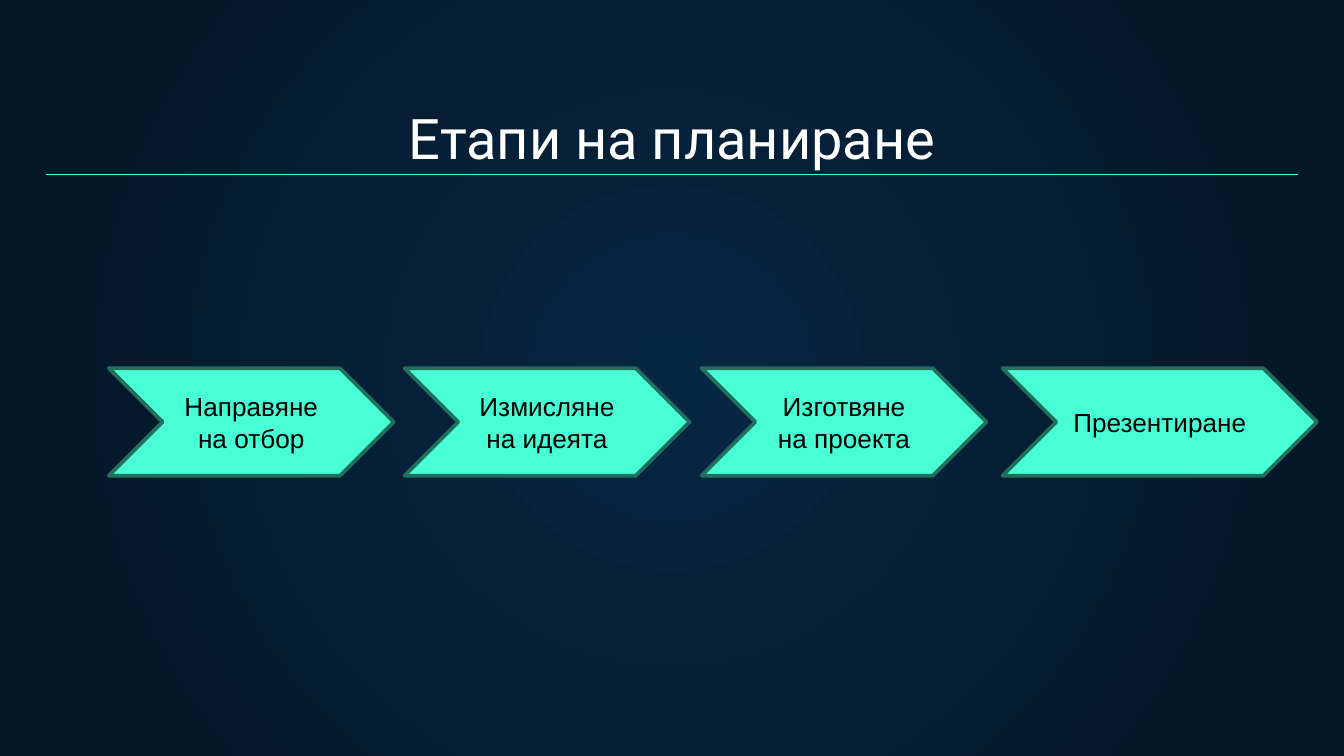
from lxml import etree
from pptx import Presentation
from pptx.dml.color import RGBColor
from pptx.enum.shapes import MSO_CONNECTOR, MSO_SHAPE
from pptx.enum.text import MSO_ANCHOR, PP_ALIGN
from pptx.oxml.ns import qn
from pptx.util import Inches, Pt

CENTER = PP_ALIGN.CENTER
MIDDLE, BOTTOM = MSO_ANCHOR.MIDDLE, MSO_ANCHOR.BOTTOM
CHEVRON, STRAIGHT = MSO_SHAPE.CHEVRON, MSO_CONNECTOR.STRAIGHT

COLORS = {
    "glow": "052643",
    "edge": "041523",
    "mint": "48FFD5",
    "outline": "20705D",
    "title": "FFFFFF",
    "label": "000000",
}

# Step label, left offset within the row, width
STEPS = [
    ("Направяне на отбор", 0, 2.12),
    ("Измисляне на идеята", 2.2, 2.12),
    ("Изготвяне на проекта", 4.41, 2.12),
    ("Презентиране", 6.65, 2.34),
]


def color(name):
    return RGBColor.from_string(COLORS[name])


def write(tf, text, size, font, color_name, anchor):
    tf.word_wrap = True
    tf.vertical_anchor = anchor
    tf.text = text
    p = tf.paragraphs[0]
    p.alignment = CENTER
    f = p.runs[0].font
    f.size, f.name = Pt(size), font
    f.color.rgb = color(color_name)


def add_background(s):
    fill = s.background.fill
    fill.gradient()
    for stop, name in zip(fill.gradient_stops, ("glow", "edge")):
        stop.color.rgb = color(name)
    # Radial gradient from the slide centre
    grad = s.element.find(".//" + qn("a:gradFill"))
    grad.remove(grad.find(qn("a:lin")))
    path = etree.SubElement(grad, qn("a:path"), path="circle")
    etree.SubElement(path, qn("a:fillToRect"),
                     {side: "50000" for side in "ltrb"})


def add_title(s, left, top, width, height):
    sp = s.shapes.add_textbox(Inches(left), Inches(top),
                              Inches(width), Inches(height))
    tf = sp.text_frame
    tf.margin_left = tf.margin_right = Inches(0.1)
    tf.margin_top = tf.margin_bottom = Inches(0.1)
    write(tf, "Етапи на планиране", 30, "Roboto", "title", BOTTOM)

    # Rule under the title
    y = Inches(top + 0.59)
    rule = s.shapes.add_connector(STRAIGHT, Inches(left), y,
                                  Inches(left + width), y)
    rule.line.color.rgb = color("mint")
    rule.line.width = Pt(0.75)
    etree.SubElement(rule._element.spPr, qn("a:effectLst"))


def add_steps(s, left, top, height):
    for text, offset, width in STEPS:
        sp = s.shapes.add_shape(CHEVRON, Inches(left + offset), Inches(top),
                                Inches(width), Inches(height))
        sp.shadow.inherit = False
        sp.fill.solid()
        sp.fill.fore_color.rgb = color("mint")
        sp.line.color.rgb = color("outline")
        sp.line.width = Pt(2)
        write(sp.text_frame, text, 14, "Arial", "label", MIDDLE)


def main():
    prs = Presentation()
    prs.slide_width = Inches(10)
    prs.slide_height = prs.slide_width * 9 // 16
    s = prs.slides.add_slide(prs.slide_layouts[6])
    add_background(s)
    add_title(s, 0.34, 0.71, 9.32, 0.66)
    add_steps(s, 0.81, 2.74, 0.8)
    prs.save("out.pptx")


if __name__ == "__main__":
    main()
